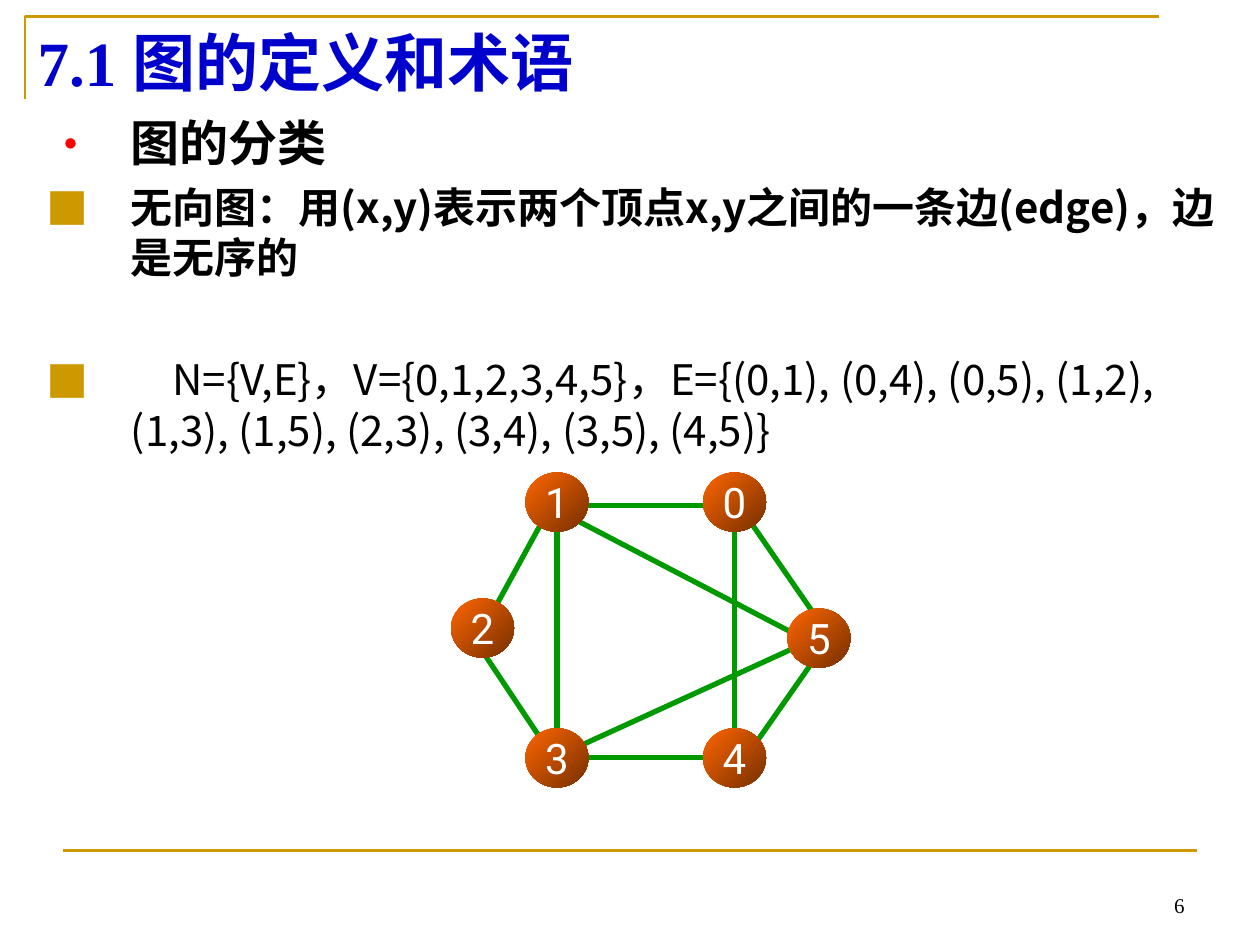
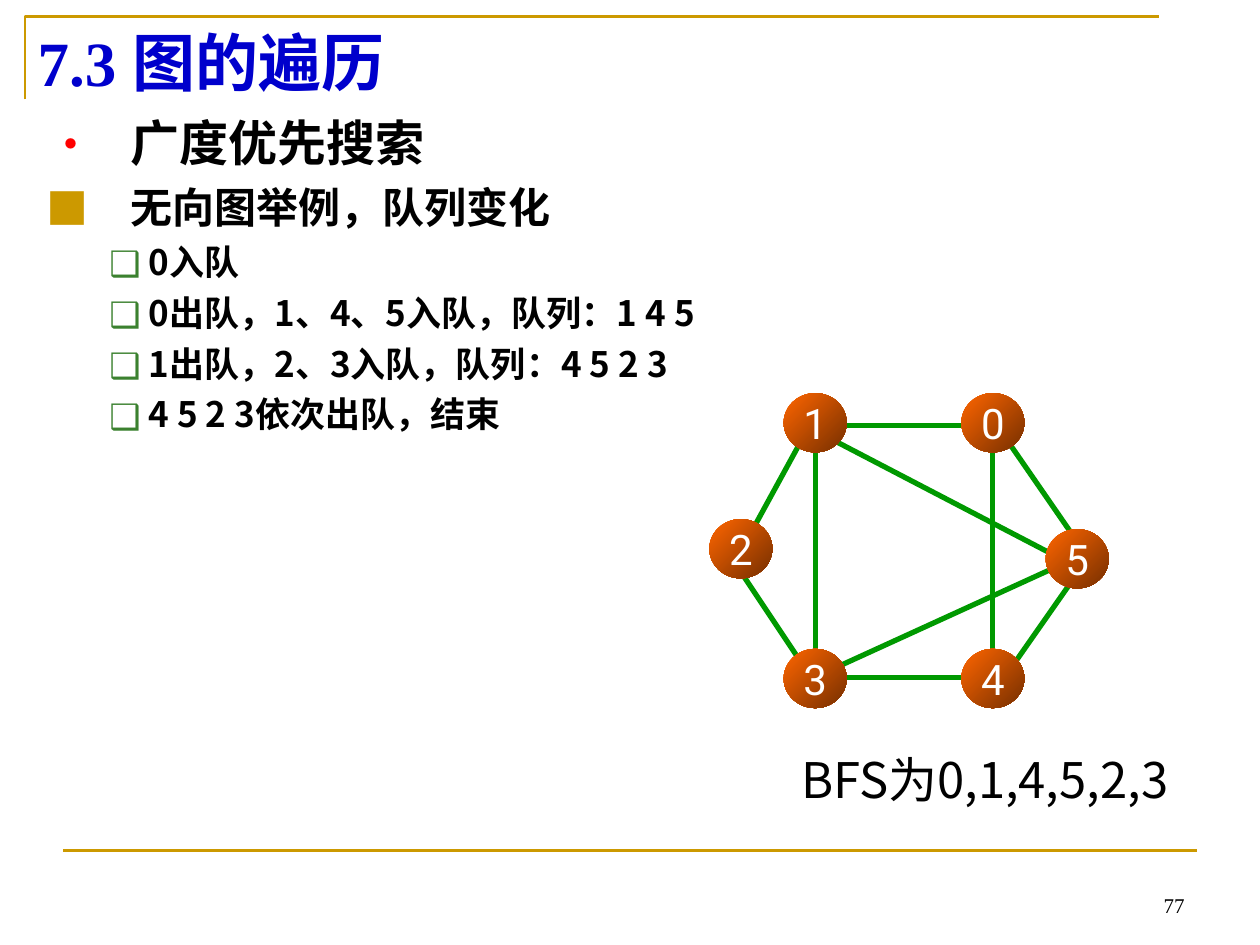
import pptx
import pptx.util
import pptx.dml.color
import pptx.enum.shapes
import pptx.enum.text
import pptx.oxml.ns
from lxml import etree

Inches = pptx.util.Inches
Pt = pptx.util.Pt
RGBColor = pptx.dml.color.RGBColor
ALIGN = pptx.enum.text.PP_ALIGN
ANCHOR = pptx.enum.text.MSO_ANCHOR
SHAPE = pptx.enum.shapes.MSO_SHAPE
STRAIGHT = pptx.enum.shapes.MSO_CONNECTOR.STRAIGHT
qn = pptx.oxml.ns.qn

# Shared colours and fonts
GOLD = RGBColor(0xCC, 0x99, 0x00)
BLUE = RGBColor(0x00, 0x00, 0xCC)
RED = RGBColor(0xFF, 0x00, 0x00)
LEAF = RGBColor(0x3B, 0x81, 0x2F)
GREEN = RGBColor(0x00, 0x99, 0x00)
ORANGE = RGBColor(0xFF, 0x66, 0x00)
BROWN = RGBColor(0x76, 0x2F, 0x00)
BLACK = RGBColor(0x00, 0x00, 0x00)
WHITE = RGBColor(0xFF, 0xFF, 0xFF)
SANS = "Noto Sans CJK SC"
SERIF = "Times New Roman"

# Bullet levels: sign, colour, left margin, hanging indent
DOT = ("•", RED, 0.67, -0.67)
BOX = ("■", GOLD, 0.67, -0.67)
SUB = ("❑", LEAF, 0.81, -0.31)

# Graph: top left corner of each node, and both ends of each edge
NODES = {1: (0.59, 0), 3: (0.59, 2.03), 2: (0, 1),
         5: (2.67, 1.08), 4: (2, 2.03), 0: (2, 0)}
EDGES = {(0, 1): (2.09, 0.26, 1.09, 0.26),
         (0, 4): (2.25, 0.43, 2.25, 2.09),
         (0, 5): (2.34, 0.34, 2.92, 1.18),
         (1, 2): (0.75, 0.34, 0.34, 1.09),
         (3, 1): (0.84, 2.17, 0.84, 0.42),
         (5, 1): (2.84, 1.34, 0.92, 0.34),
         (3, 2): (0.75, 2.17, 0.25, 1.42),
         (4, 3): (2.17, 2.26, 0.92, 2.26),
         (5, 3): (2.84, 1.34, 1.0, 2.18),
         (5, 4): (2.92, 1.43, 2.34, 2.26)}


def write(frame, text, size=24, font=SANS, color=BLACK, bold=False,
          align=ALIGN.LEFT, bullet=None, before=0, lines=None):
    """Fill the first paragraph of a frame, or add one after it."""
    para = frame.paragraphs[0]
    if para.runs:
        para = frame.add_paragraph()
        para.space_before = Pt(before)
    para.alignment = align
    if lines:
        para.line_spacing = lines
    if bullet:
        mark(para, *bullet)
    run = para.add_run()
    run.text = text
    run.font.size = Pt(size)
    run.font.name = font
    run.font.bold = bold
    run.font.color.rgb = color
    etree.SubElement(run.font._element, qn("a:ea"), typeface=SANS)


def mark(para, sign, color, left, hang):
    """Give a paragraph its bullet, indents and tab stops."""
    props = para._p.get_or_add_pPr()
    props.set("marL", str(Inches(left)))
    props.set("indent", str(Inches(hang)))
    tint = etree.SubElement(props, qn("a:buClr"))
    etree.SubElement(tint, qn("a:srgbClr"), val=str(color))
    etree.SubElement(props, qn("a:buFont"), typeface=SANS)
    etree.SubElement(props, qn("a:buChar"), char=sign)
    tabs = etree.SubElement(props, qn("a:tabLst"))
    for inch in range(1, 9):
        etree.SubElement(tabs, qn("a:tab"), pos=str(Inches(inch)), algn="l")


def box(slide, left, top, width, height, anchor=ANCHOR.TOP):
    area = slide.shapes.add_textbox(Inches(left), Inches(top),
                                    Inches(width), Inches(height))
    frame = area.text_frame
    frame.word_wrap = True
    frame.vertical_anchor = anchor
    return frame


def line(shapes, x1, y1, x2, y2, color, width):
    link = shapes.add_connector(STRAIGHT, Inches(x1), Inches(y1),
                                Inches(x2), Inches(y2))
    link.line.color.rgb = color
    link.line.width = Pt(width)
    etree.SubElement(link._element.spPr, qn("a:effectLst"))


def node(shapes, left, top, label):
    ball = shapes.add_shape(SHAPE.OVAL, Inches(left), Inches(top),
                            Inches(0.5), Inches(0.47))
    ball.shadow.inherit = False
    ball.line.fill.background()
    ball.fill.gradient()
    ball.fill.gradient_angle = 315
    for stop, color in zip(ball.fill.gradient_stops, (ORANGE, BROWN)):
        stop.color.rgb = color
    frame = ball.text_frame
    frame.word_wrap = False
    frame.margin_left = frame.margin_right = 0
    frame.vertical_anchor = ANCHOR.MIDDLE
    write(frame, str(label), font="Roboto", color=WHITE, align=ALIGN.CENTER)


def graph(slide, left, top):
    shapes = slide.shapes.add_group_shape().shapes
    for x1, y1, x2, y2 in EDGES.values():
        line(shapes, left + x1, top + y1, left + x2, top + y2, GREEN, 3)
    for label, (x, y) in NODES.items():
        node(shapes, left + x, top + y, label)


def page(deck, title, number):
    """Add a slide with the corner rule, footer rule, number and title."""
    slide = deck.slides.add_slide(deck.slide_layouts[6])
    pen = slide.shapes.build_freeform(Inches(0.2), Inches(0.79))
    pen.add_line_segments([(Inches(0.2), Inches(0.13)),
                           (Inches(9.2), Inches(0.13))], close=False)
    corner = pen.convert_to_shape()
    corner.shadow.inherit = False
    corner.fill.background()
    corner.line.color.rgb = GOLD
    corner.line.width = Pt(1.5)
    line(slide.shapes, 0.5, 6.75, 9.5, 6.75, GOLD, 1.5)
    write(box(slide, 7.17, 6.83, 2.33, 0.5, ANCHOR.BOTTOM), str(number),
          size=12, font=SERIF, align=ALIGN.RIGHT)
    write(box(slide, 0.2, 0.13, 9, 0.71, ANCHOR.MIDDLE), title,
          size=36, font=SERIF, color=BLUE, bold=True)
    return slide


def main():
    deck = pptx.Presentation()
    deck.slide_width, deck.slide_height = Inches(10), Inches(7.5)

    # Kinds of graph
    slide = page(deck, "7.1 图的定义和术语", 6)
    body = box(slide, 0.27, 0.84, 9.53, 4.25)
    write(body, "图的分类", size=28, bold=True, bullet=DOT)
    write(body, "无向图：用(x,y)表示两个顶点x,y之间的一条边(edge)，边是无序的",
          bold=True, bullet=BOX, before=6)
    write(body, "\tN={V,E}，V={0,1,2,3,4,5}，E={(0,1), (0,4), (0,5), (1,2), "
          "(1,3), (1,5), (2,3), (3,4), (3,5), (4,5)}", bullet=BOX, before=41)
    graph(slide, 3.58, 3.75)

    # Breadth-first search
    slide = page(deck, "7.3 图的遍历", 77)
    body = box(slide, 0.27, 0.84, 9.06, 5.51)
    write(body, "广度优先搜索", size=28, bold=True, bullet=DOT)
    write(body, "无向图举例，队列变化", bold=True, bullet=BOX, before=6)
    for step in ("0入队", "0出队，1、4、5入队，队列：1 4 5",
                 "1出队，2、3入队，队列：4 5 2 3", "4 5 2 3依次出队，结束"):
        write(body, step, size=20, bold=True, bullet=SUB, before=5)
    graph(slide, 5.63, 3.12)
    write(box(slide, 6.26, 5.95, 3.32, 0.47), "BFS为0,1,4,5,2,3",
          size=28, lines=0.9)

    deck.save("out.pptx")


if __name__ == "__main__":
    main()
